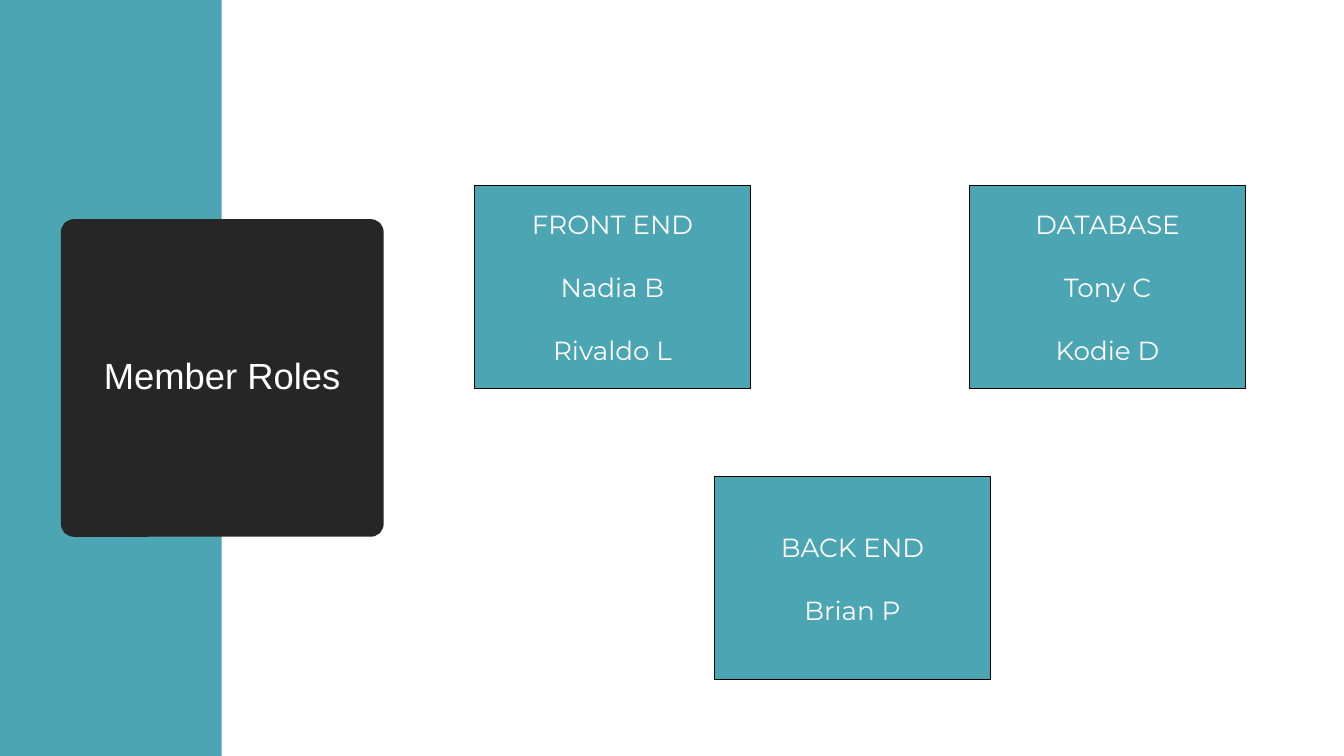
from pptx import Presentation
from pptx.dml.color import RGBColor
from pptx.enum.shapes import MSO_SHAPE
from pptx.enum.text import MSO_ANCHOR, PP_ALIGN
from pptx.util import Inches, Pt

COLORS = {"teal": "4CA5B2", "dark": "262626", "white": "FFFFFF", "black": "000000"}
TITLE = "Member Roles"
TEAMS = [
    (4.71, 1.84, ["FRONT END", "Nadia B", "Rivaldo L"]),
    (9.62, 1.84, ["DATABASE", "Tony C", "Kodie D"]),
    (7.09, 4.73, ["BACK END", "Brian P"]),
]
TEAM_WIDTH, TEAM_HEIGHT = 2.73, 2.01


def color(name):
    return RGBColor.from_string(COLORS[name])


def add_box(page, kind, place, fill, line=None, line_width=0):
    box = page.shapes.add_shape(kind, *map(Inches, place))
    box.shadow.inherit = False
    box.fill.solid()
    box.fill.fore_color.rgb = color(fill)
    if line:
        box.line.color.rgb = color(line)
        box.line.width = Pt(line_width)
    else:
        box.line.fill.background()
    return box


def write(box, lines, font, size, margins, gap=0, line_spacing=1.0):
    frame = box.text_frame
    frame.word_wrap = True
    frame.vertical_anchor = MSO_ANCHOR.MIDDLE
    frame.margin_left = frame.margin_right = Inches(margins[0])
    frame.margin_top = frame.margin_bottom = Inches(margins[1])
    for index, line in enumerate(lines):
        para = frame.add_paragraph() if index else frame.paragraphs[0]
        para.text = line
        para.alignment = PP_ALIGN.CENTER
        para.line_spacing = line_spacing
        para.space_before = Pt(gap if index else 0)
        para.font.name = font
        para.font.size = Pt(size)
        para.font.color.rgb = color("white")


def main():
    deck = Presentation()
    deck.slide_width, deck.slide_height = Inches(13.33), Inches(7.5)
    page = deck.slides.add_slide(deck.slide_layouts[6])

    add_box(page, MSO_SHAPE.RECTANGLE, (0, 0, 2.2, 7.5), "teal")

    title = add_box(page, MSO_SHAPE.ROUNDED_RECTANGLE, (0.7, 2.27, 3.01, 2.96),
                    "dark", "dark", 13.75)
    title.adjustments[0] = 0.01
    write(title, [TITLE], "Arial", 26, (0.1, 0.05), line_spacing=0.9)

    for left, top, lines in TEAMS:
        team = add_box(page, MSO_SHAPE.RECTANGLE, (left, top, TEAM_WIDTH, TEAM_HEIGHT),
                       "teal", "black", 0.75)
        write(team, lines, "Montserrat", 18.7, (0.13, 0.13), gap=22.5)

    deck.save("out.pptx")


if __name__ == "__main__":
    main()
